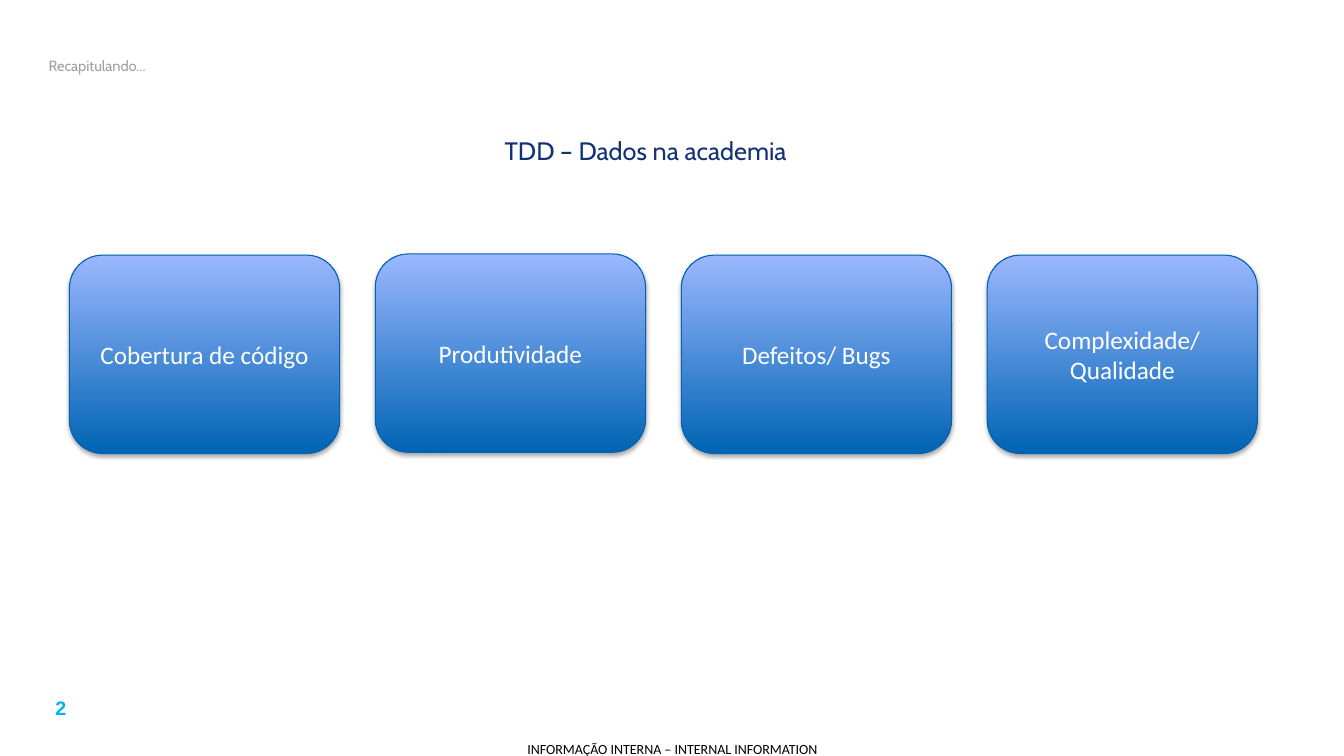
from dataclasses import dataclass

from lxml import etree
from pptx import Presentation
from pptx import util as u
from pptx.dml.color import RGBColor
from pptx.enum import shapes, text
from pptx.oxml.ns import qn


@dataclass(frozen=True)
class Box:
    left: float
    top: float
    width: float
    height: float

    def lengths(self) -> tuple:
        return u.Cm(self.left), u.Cm(self.top), u.Cm(self.width), u.Cm(self.height)


@dataclass(frozen=True)
class Style:
    font: str
    size: float
    color: str
    align: text.PP_ALIGN = text.PP_ALIGN.CENTER
    bold: bool = False


@dataclass(frozen=True)
class Card:
    label: str
    top: float = 6.43


CARDS = [
    Card("Cobertura de código"),
    Card("Produtividade", top=6.4),
    Card("Defeitos/ Bugs"),
    Card("Complexidade/ Qualidade"),
]
CARD_LEFT, CARD_PITCH = 1.75, 7.71
CARD_WIDTH, CARD_HEIGHT = 6.81, 5.0
CARD_STYLE = Style("Calibri", 18, "FFFFFF")


def rgb(color: str) -> RGBColor:
    return RGBColor.from_string(color)


def write(shape, content: str, style: Style) -> None:
    frame = shape.text_frame
    frame.text = content
    frame.word_wrap = True
    frame.auto_size = text.MSO_AUTO_SIZE.NONE
    frame.vertical_anchor = text.MSO_ANCHOR.MIDDLE
    paragraph = frame.paragraphs[0]
    paragraph.alignment = style.align
    paragraph.space_before = u.Pt(0)
    for run in paragraph.runs:
        run.font.name = style.font
        run.font.size = u.Pt(style.size)
        run.font.bold = style.bold
        run.font.color.rgb = rgb(style.color)


def place(shape, box: Box) -> None:
    shape.left, shape.top, shape.width, shape.height = box.lengths()


def remove_bullet(paragraph) -> None:
    properties = paragraph._p.get_or_add_pPr()
    properties.set("marL", "0")
    properties.set("indent", "0")
    etree.SubElement(properties, qn("a:buNone"))


def add_label(slide, content: str, box: Box, style: Style) -> None:
    label = slide.shapes.add_textbox(*box.lengths())
    frame = label.text_frame
    frame.margin_left = frame.margin_right = 0
    frame.margin_top = frame.margin_bottom = 0
    write(label, content, style)


def add_shadow(shape) -> None:
    shape.shadow.inherit = False
    effects = shape._element.spPr.find(qn("a:effectLst"))
    shadow = etree.SubElement(
        effects, qn("a:outerShdw"),
        blurRad="40000", dist="23000", dir="5400000", rotWithShape="0",
    )
    color = etree.SubElement(shadow, qn("a:srgbClr"), val="000000")
    etree.SubElement(color, qn("a:alpha"), val="35000")


def add_card(slide, card: Card, column: int) -> None:
    box = Box(CARD_LEFT + column * CARD_PITCH, card.top, CARD_WIDTH, CARD_HEIGHT)
    shape = slide.shapes.add_shape(shapes.MSO_SHAPE.ROUNDED_RECTANGLE, *box.lengths())
    shape.fill.gradient()
    shape.fill.gradient_angle = 90
    for stop, position, color in zip(shape.fill.gradient_stops, (0, 1), ("0064B4", "9BB7FF")):
        stop.position = position
        stop.color.rgb = rgb(color)
    shape.line.color.rgb = rgb("0062B0")
    shape.line.width = u.Pt(0.75)
    add_shadow(shape)
    write(shape, card.label, CARD_STYLE)


def main() -> None:
    presentation = Presentation()
    presentation.slide_width = u.Cm(33.87)
    presentation.slide_height = u.Cm(19.05)
    slide = presentation.slides.add_slide(presentation.slide_layouts[1])

    title = slide.shapes.title
    place(title, Box(0.97, 1.04, 30.18, 1.22))
    write(title, "Recapitulando...", Style("Cabin", 10.5, "9BA0A0", text.PP_ALIGN.LEFT))

    body = slide.placeholders[1]
    place(body, Box(0.94, 2.92, 30.66, 1.75))
    write(body, "TDD – Dados na academia", Style("Cabin", 18, "123274"))
    remove_bullet(body.text_frame.paragraphs[0])

    for column, card in enumerate(CARDS):
        add_card(slide, card, column)

    add_label(slide, "2", Box(0.53, 17.4, 2.01, 0.86),
              Style("Arial", 14, "00B0F0", bold=True))
    add_label(slide, "INFORMAÇÃO INTERNA – INTERNAL INFORMATION",
              Box(12.78, 18.5, 8.33, 0.74), Style("Calibri", 10, "000000"))

    presentation.save("out.pptx")


if __name__ == "__main__":
    main()
